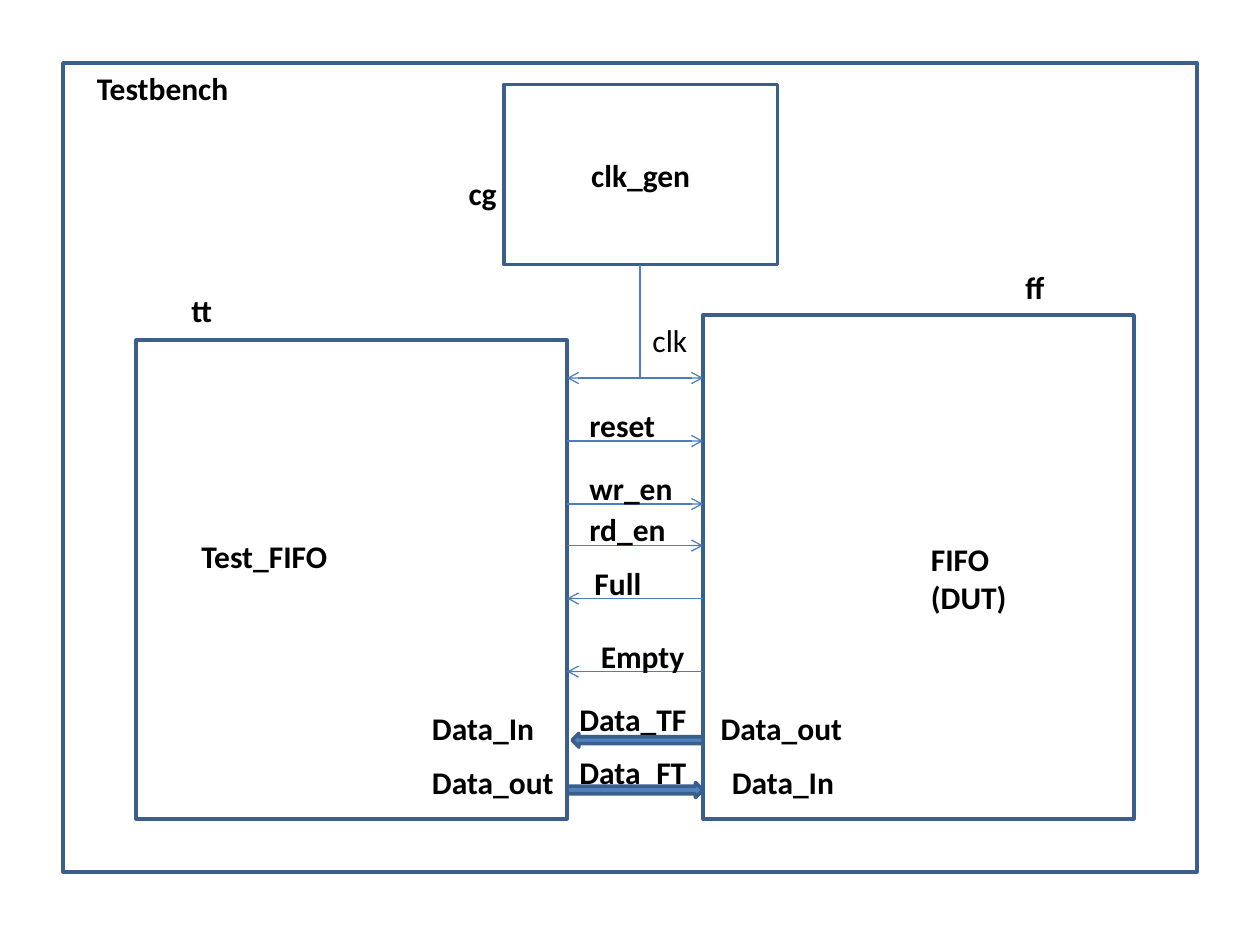
"""Build a block diagram of a FIFO testbench with its clock, control and data signals."""
from lxml import etree
from pptx import Presentation
from pptx.dml.color import RGBColor
from pptx.enum.shapes import MSO_CONNECTOR as CONN, MSO_SHAPE as SHAPE
from pptx.enum.text import MSO_ANCHOR as ANCHOR, MSO_AUTO_SIZE as AUTO, PP_ALIGN as ALIGN
from pptx.oxml.ns import qn
from pptx.util import Inches, Pt

FONT = {"name": "Calibri", "size": Pt(18), "bold": True}
LEFT, RIGHT = 4.5, 5.58


def paint(fmt, color):
    fmt.solid()
    fmt.fore_color.rgb = RGBColor.from_string(color)


def write(tf, text, fmt):
    tf.text = text
    for p in tf.paragraphs:
        for r in p.runs:
            for key, value in fmt.items():
                setattr(r.font, key, value)
            paint(r.font.fill, "000000")


prs = Presentation()
prs.slide_width, prs.slide_height = Inches(10), Inches(7.5)
s = prs.slides.add_slide(prs.slide_layouts[6])

boxes = [
    (SHAPE.RECTANGLE, 0.5, 0.5, 9, 6.42, "FFFFFF", ""),
    (SHAPE.RECTANGLE, 1.08, 2.7, 3.42, 3.8, "FFFFFF", ""),
    (SHAPE.RECTANGLE, RIGHT, 2.5, 3.42, 4, "FFFFFF", ""),
    (SHAPE.RECTANGLE, 4, 0.67, 2.17, 1.43, "FFFFFF", "clk_gen"),
    (SHAPE.RIGHT_ARROW, LEFT, 6.21, 1.08, 0.12, "4F81BD", ""),
    (SHAPE.LEFT_ARROW, 4.54, 5.82, 1.04, 0.11, "4F81BD", ""),
]
for kind, x, y, w, h, color, text in boxes:
    sp = s.shapes.add_shape(kind, Inches(x), Inches(y), Inches(w), Inches(h))
    sp.shadow.inherit = False
    paint(sp.fill, color)
    paint(sp.line.fill, "3A5F8C")
    sp.line.width = Pt(2)
    if text:
        tf = sp.text_frame
        tf.vertical_anchor = ANCHOR.MIDDLE
        write(tf, text, FONT)
        tf.paragraphs[0].alignment = ALIGN.CENTER

signals = [
    (LEFT, 3, RIGHT, 3, ["headEnd", "tailEnd"]),
    (5.08, 2.1, 5.08, 3, []),
]
signals += [(LEFT, y, RIGHT, y, ["tailEnd"]) for y in (3.5, 4, 4.33)]
signals += [(RIGHT, y, LEFT, y, ["tailEnd"]) for y in (4.75, 5.33)]
for x1, y1, x2, y2, ends in signals:
    c = s.shapes.add_connector(CONN.STRAIGHT, Inches(x1), Inches(y1), Inches(x2), Inches(y2))
    paint(c.line.fill, "4B7EBC")
    c.line.width = Pt(0.75)
    ln = c.line._get_or_add_ln()
    for end in ends:
        etree.SubElement(ln, qn(f"a:{end}"), type="arrow")
    etree.SubElement(c._element.spPr, qn("a:effectLst"))

labels = [
    ("Testbench", 0.67, 0.5, 2.75),
    ("Test_FIFO", 1.5, 4.21, 2.67),
    ("FIFO\n(DUT)", 7.29, 4.24, 0.96),
    ("clk", 5.08, 2.5, 0.92),
    ("reset", 4.58, 3.17, 0.96),
    ("wr_en", 4.58, 3.67, 0.96),
    ("rd_en", 4.58, 4, 0.96),
    ("Full", 4.62, 4.43, 0.96),
    ("Empty", 4.67, 5.01, 0.96),
    ("Data_TF", 4.5, 5.51, 1.08),
    ("Data_FT", 4.5, 5.93, 1.12),
    ("Data_In", 3.33, 5.58, 1.21),
    ("Data_out", 3.33, 6.01, 1.21),
    ("Data_out", 5.62, 5.58, 1.21),
    ("Data_In", 5.71, 6.01, 1.21),
    ("tt", 1.42, 2.26, 0.62),
    ("ff", 8.04, 2.08, 0.62),
    ("cg", 3.62, 1.33, 0.62),
]
for text, x, y, w in labels:
    h = 0.71 if "\n" in text else 0.4
    tf = s.shapes.add_textbox(Inches(x), Inches(y), Inches(w), Inches(h)).text_frame
    tf.word_wrap = True
    tf.auto_size = AUTO.SHAPE_TO_FIT_TEXT
    write(tf, text, {**FONT, "bold": text != "clk"})

for sp in list(s.shapes)[4:6]:
    s.shapes._spTree.append(sp._element)

prs.save("out.pptx")
